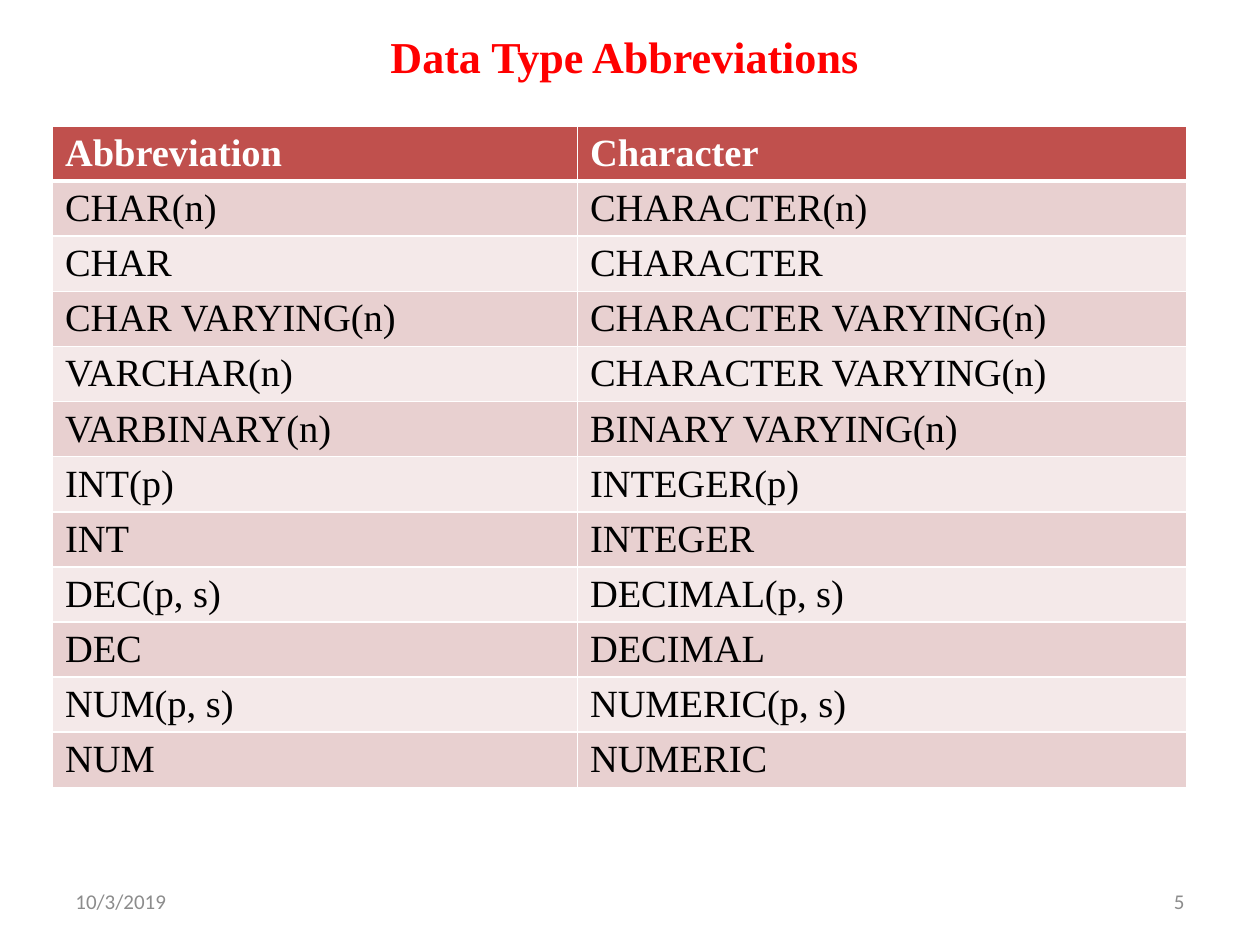
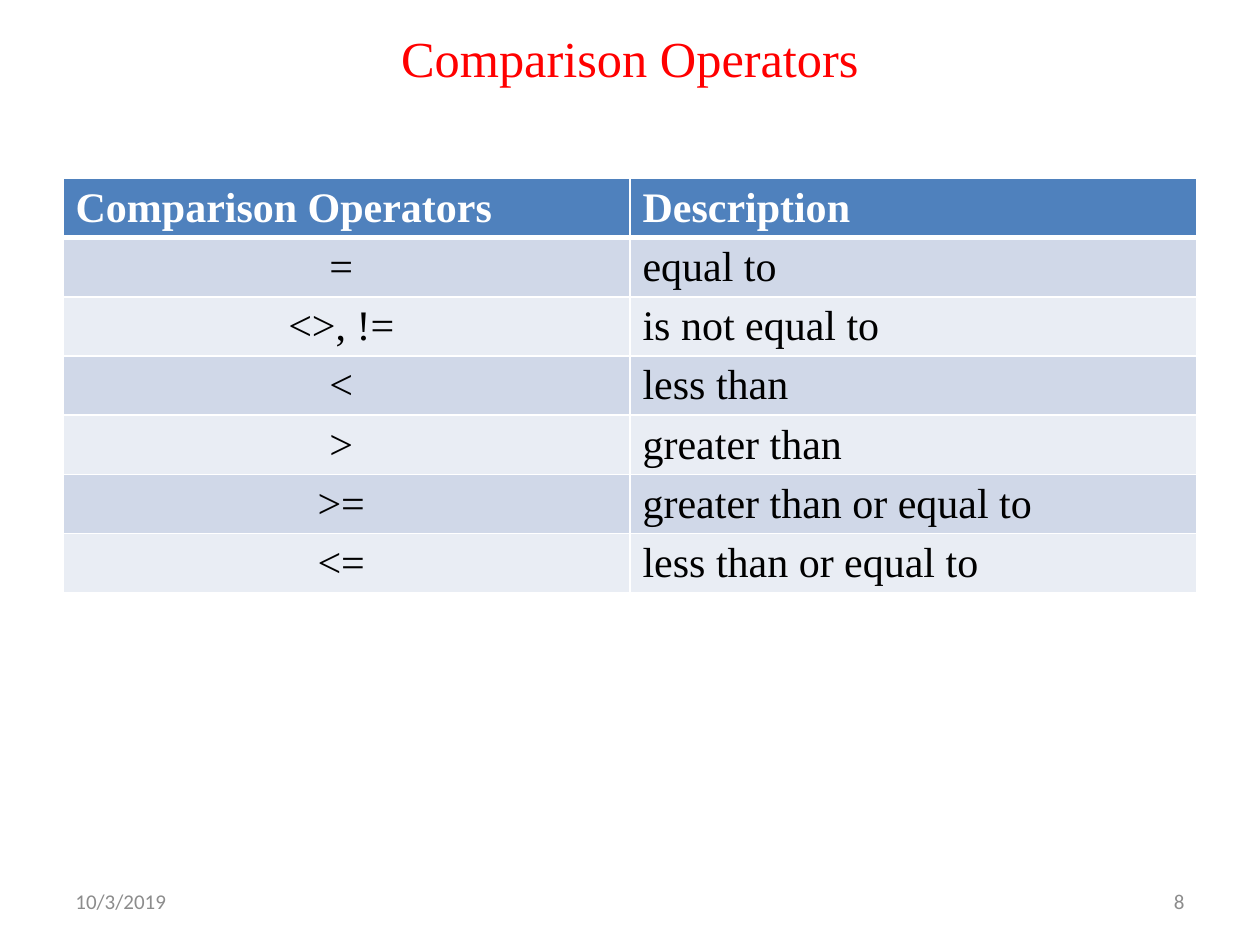
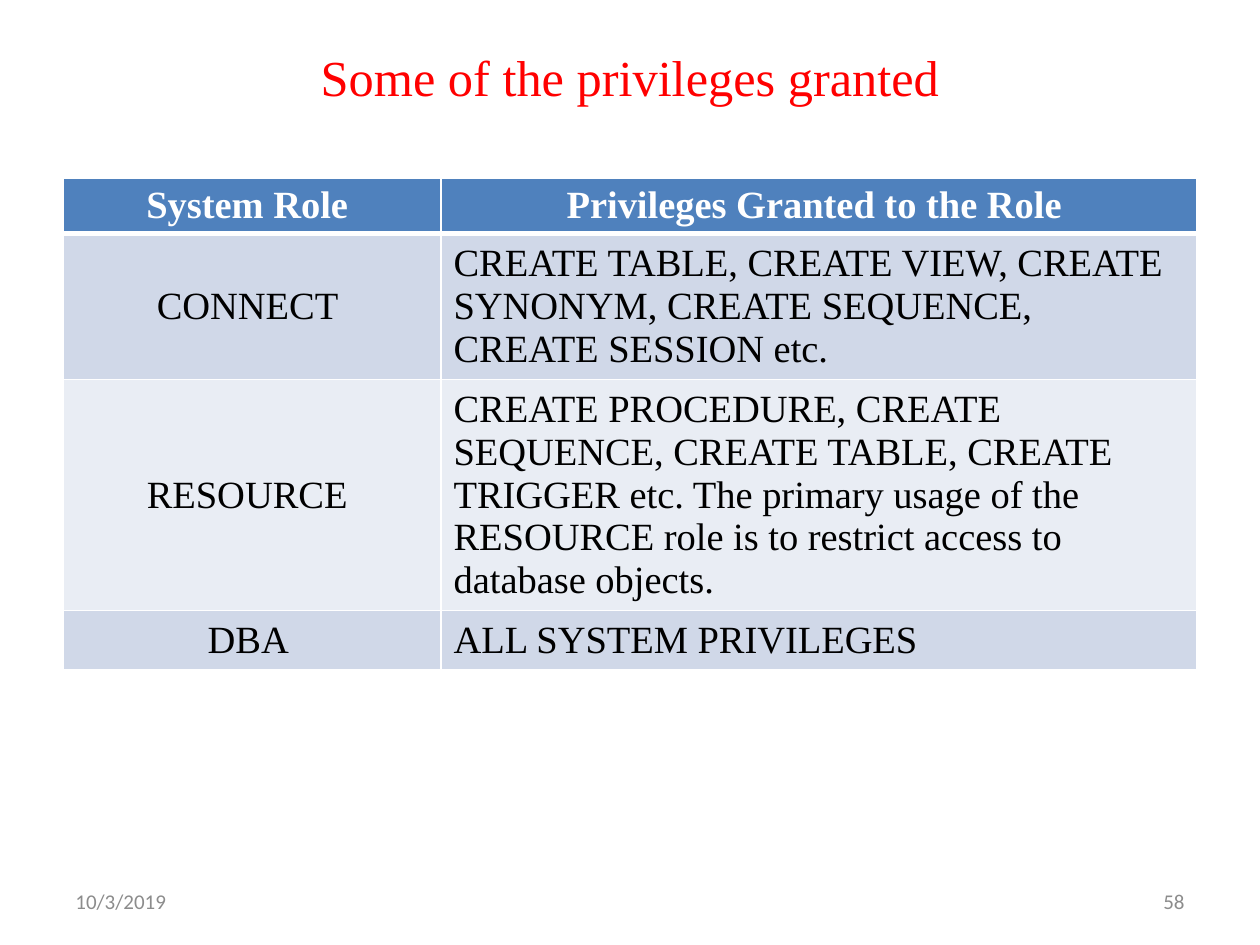
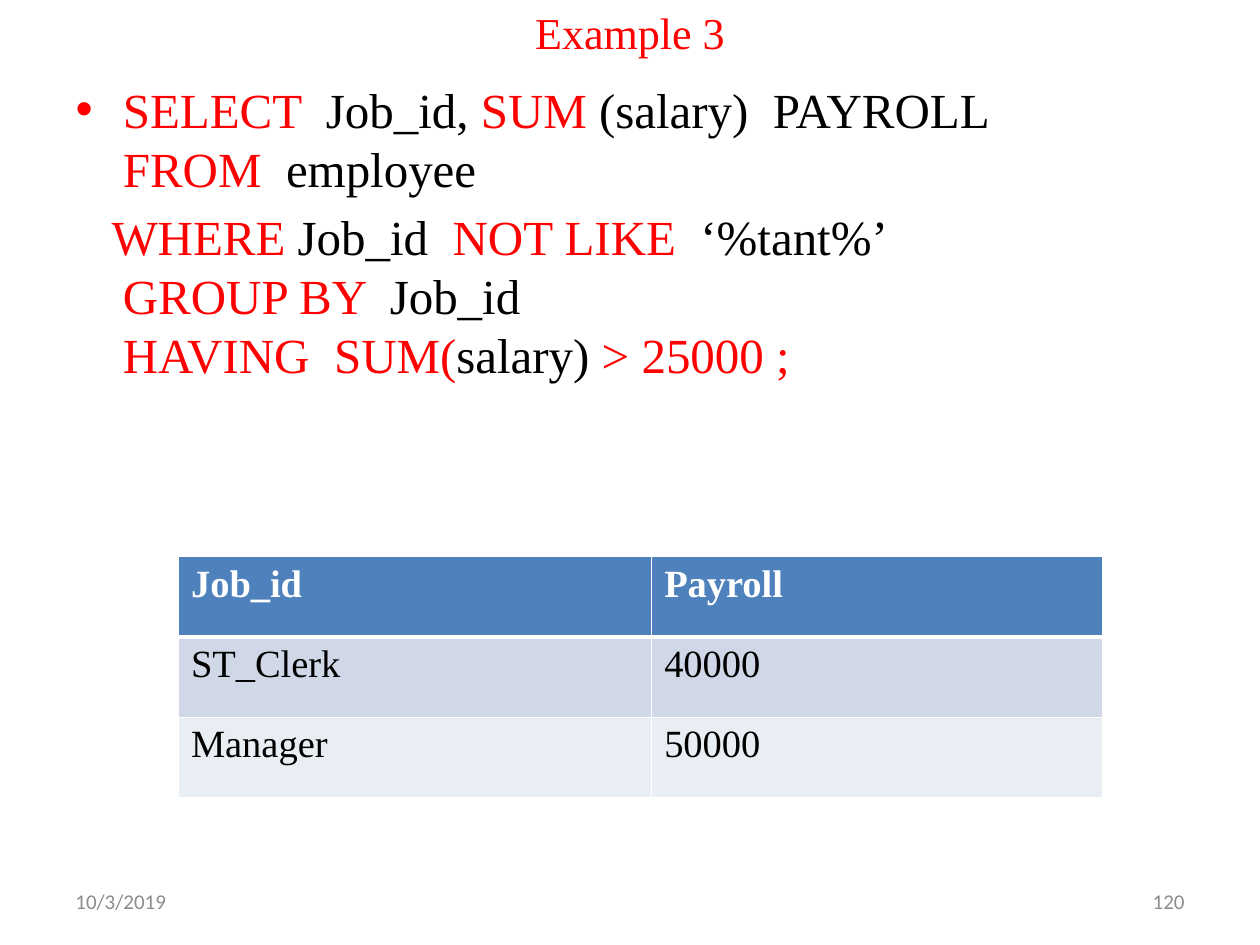
from lxml import etree
from pptx import Presentation
from pptx.dml.color import RGBColor
from pptx.enum.text import MSO_ANCHOR, MSO_AUTO_SIZE, PP_ALIGN
from pptx.oxml.ns import qn
from pptx.util import Pt

LEFT, CENTER, RIGHT = PP_ALIGN.LEFT, PP_ALIGN.CENTER, PP_ALIGN.RIGHT
TOP, MIDDLE = MSO_ANCHOR.TOP, MSO_ANCHOR.MIDDLE
NO_AUTOFIT = MSO_AUTO_SIZE.NONE

SERIF, SANS = "Times New Roman", "Calibri"
RED, BLACK, WHITE, GREY = "FF0000", "000000", "FFFFFF", "8C8C8C"
# Header fill, odd row fill, even row fill
RED_BANDS = ("C0504D", "E8D0D0", "F4E9E9")
BLUE_BANDS = ("4F81BD", "D0D8E8", "E9EDF4")
MARGIN, CONTENT_W = 36, 648
TITLE_ONLY, TITLE_AND_CONTENT = 5, 1
DATE = "10/3/2019"
BODY_SIZE = 28

ABBREVIATIONS = [
    ("Abbreviation ", "Character "),
    ("CHAR(n)", "CHARACTER(n)"),
    ("CHAR", "CHARACTER"),
    ("CHAR VARYING(n)", "CHARACTER VARYING(n)"),
    ("VARCHAR(n)", "CHARACTER VARYING(n)"),
    ("VARBINARY(n)", "BINARY VARYING(n)"),
    ("INT(p)", "INTEGER(p)"),
    ("INT", "INTEGER"),
    ("DEC(p, s)", "DECIMAL(p, s)"),
    ("DEC", "DECIMAL"),
    ("NUM(p, s)", "NUMERIC(p, s)"),
    ("NUM", "NUMERIC"),
]
OPERATORS = [
    ("Comparison Operators", "Description"),
    ("= ", "equal to"),
    ("<>, != ", "is not equal to"),
    ("< ", "less than"),
    ("> ", "greater than"),
    (">= ", "greater than or equal to"),
    ("<= ", "less than or equal to"),
]
PRIVILEGES = [
    ("System Role ", "Privileges Granted to the Role "),
    ("CONNECT ", "CREATE TABLE, CREATE VIEW, CREATE SYNONYM, "
                 "CREATE SEQUENCE, CREATE SESSION etc."),
    ("RESOURCE ", "CREATE PROCEDURE, CREATE SEQUENCE, CREATE TABLE, "
                  "CREATE TRIGGER etc. The primary usage of the RESOURCE "
                  "role is to restrict access to database objects. "),
    ("DBA ", "ALL SYSTEM PRIVILEGES"),
]
PAYROLL = [("Job_id", "Payroll"), ("ST_Clerk", "40000"), ("Manager", "50000")]
# Each paragraph is a list of lines, each line a list of (text, colour)
QUERY = [
    [[("SELECT  ", RED), ("Job_id,", BLACK), (" SUM ", RED),
      ("(salary)  PAYROLL", BLACK)],
     [("FROM  ", RED), ("employee ", BLACK)]],
    [[("WHERE ", RED), ("Job_id", BLACK), ("  NOT LIKE", RED),
      ("  ‘%tant%’", BLACK)],
     [("GROUP BY  ", RED), ("Job_id ", BLACK)],
     [("HAVING  SUM(", RED), ("salary) ", BLACK), ("> 25000 ;", RED)]],
]


def rgb(value):
    """Turn a hex string into a colour."""
    return RGBColor.from_string(value)


def place(sp, left, top, width, height):
    """Set the position and size of a shape in points."""
    sp.left, sp.top = Pt(left), Pt(top)
    sp.width, sp.height = Pt(width), Pt(height)


def add_run(p, text, size, color, font=SERIF, bold=False):
    """Append one formatted run to a paragraph."""
    r = p.add_run()
    r.text = text
    r.font.name, r.font.size, r.font.bold = font, Pt(size), bold
    r.font.color.rgb = rgb(color)


def add_footer(s, text, left, align):
    """Add one grey footer text."""
    sp = s.shapes.add_textbox(Pt(left), Pt(500.4), Pt(168), Pt(28.8))
    tf = sp.text_frame
    tf.word_wrap = True
    tf.vertical_anchor = MIDDLE
    p = tf.paragraphs[0]
    p.alignment = align
    add_run(p, text, 12, GREY, SANS)


def new_slide(prs, number, title, top, height, size,
              bold=False, lift=0, layout=TITLE_ONLY):
    """Add a slide with red title and footers; lift raises the title text."""
    s = prs.slides.add_slide(prs.slide_layouts[layout])
    sp = s.shapes.title
    place(sp, MARGIN, top, CONTENT_W, height)
    tf = sp.text_frame
    tf.auto_size = NO_AUTOFIT
    tf.vertical_anchor = MIDDLE
    tf.margin_bottom = Pt(3.6 + lift)
    p = tf.paragraphs[0]
    p.alignment = CENTER
    add_run(p, title, size, RED, bold=bold)
    add_footer(s, str(number), 516, RIGHT)
    add_footer(s, DATE, MARGIN, LEFT)
    return s


def set_borders(cell, top, bottom):
    """Draw white cell borders: 1 pt at the sides, given widths elsewhere."""
    tc_pr = cell._tc.get_or_add_tcPr()
    edges = (("a:lnL", 1), ("a:lnR", 1), ("a:lnT", top), ("a:lnB", bottom))
    for i, (tag, width) in enumerate(edges):
        ln = etree.Element(qn(tag), w=str(Pt(width)))
        fill = etree.SubElement(ln, qn("a:solidFill"))
        etree.SubElement(fill, qn("a:srgbClr"), val=WHITE)
        tc_pr.insert(i, ln)


def add_banded_table(s, rows, left, top, widths, heights, bands, size=22,
                     anchor=MIDDLE, pad=2.5, header_align=(LEFT, LEFT),
                     body_align=(LEFT, LEFT)):
    """Add a table with a bold header row and alternating row fills."""
    frame = s.shapes.add_table(len(rows), len(widths), Pt(left), Pt(top),
                               Pt(sum(widths)), Pt(sum(heights)))
    table = frame.table
    for col, width in zip(table.columns, widths):
        col.width = Pt(width)
    for i, (row, height) in enumerate(zip(rows, heights)):
        table.rows[i].height = Pt(height)
        header = i == 0
        band = bands[0] if header else bands[2 - i % 2]
        aligns = header_align if header else body_align
        for j, text in enumerate(row):
            cell = table.cell(i, j)
            cell.fill.solid()
            cell.fill.fore_color.rgb = rgb(band)
            set_borders(cell, 3 if i == 1 else 1, 3 if header else 1)
            cell.vertical_anchor = anchor
            cell.margin_top = cell.margin_bottom = Pt(pad)
            p = cell.text_frame.paragraphs[0]
            p.alignment = aligns[j]
            add_run(p, text, size, WHITE if header else BLACK, bold=header)


def add_break(p, size):
    """Add a line break of the given text size."""
    p.add_line_break()
    etree.SubElement(p._p[-1], qn("a:rPr"), sz=str(size * 100))


def remove_bullet(p, margin, indent):
    """Drop the bullet of a paragraph and set its indents."""
    p_pr = p._p.get_or_add_pPr()
    p_pr.set("marL", str(Pt(margin)))
    p_pr.set("indent", str(Pt(indent)))
    etree.SubElement(p_pr, qn("a:buNone"))


def fill_query(sp):
    """Write the coloured SQL query into the body placeholder."""
    place(sp, MARGIN, 41.8, CONTENT_W, 440.6)
    tf = sp.text_frame
    tf.auto_size = NO_AUTOFIT
    for i, lines in enumerate(QUERY):
        p = tf.add_paragraph() if i else tf.paragraphs[0]
        if i:
            remove_bullet(p, 27, -6.5)
        for j, line in enumerate(lines):
            if j:
                add_break(p, BODY_SIZE)
            for text, color in line:
                add_run(p, text, BODY_SIZE, color)


def main():
    """Build the four slides and save them."""
    prs = Presentation()
    prs.slide_width, prs.slide_height = Pt(720), Pt(540)

    s = new_slide(prs, 5, "Data Type Abbreviations ", 21.6, 50.4, 25.2,
                  bold=True, lift=30)
    add_banded_table(s, ABBREVIATIONS, 30, 72, (300, 348),
                     [31.5] * len(ABBREVIATIONS), RED_BANDS)

    s = new_slide(prs, 8, "Comparison Operators", 21.6, 56.2, 28.8, lift=34)
    add_banded_table(s, OPERATORS, MARGIN, 102, (324, 324),
                     [33.7] * len(OPERATORS), BLUE_BANDS, size=24,
                     body_align=(CENTER, LEFT))

    s = new_slide(prs, 58, "Some of the privileges granted", 21.6, 44.6, 28.8)
    add_banded_table(s, PRIVILEGES, MARGIN, 102, (216, 432),
                     (31.5, 83.5, 128.6, 33.8), BLUE_BANDS, pad=0,
                     header_align=(CENTER, CENTER), body_align=(CENTER, LEFT))

    s = new_slide(prs, 120, "Example 3", 0, 36, 25.2,
                  layout=TITLE_AND_CONTENT)
    fill_query(s.placeholders[1])
    add_banded_table(s, PAYROLL, 102, 318, (270.4, 257.6), [46] * 3,
                     BLUE_BANDS, anchor=TOP, pad=3.6)

    prs.save("out.pptx")


if __name__ == "__main__":
    main()
